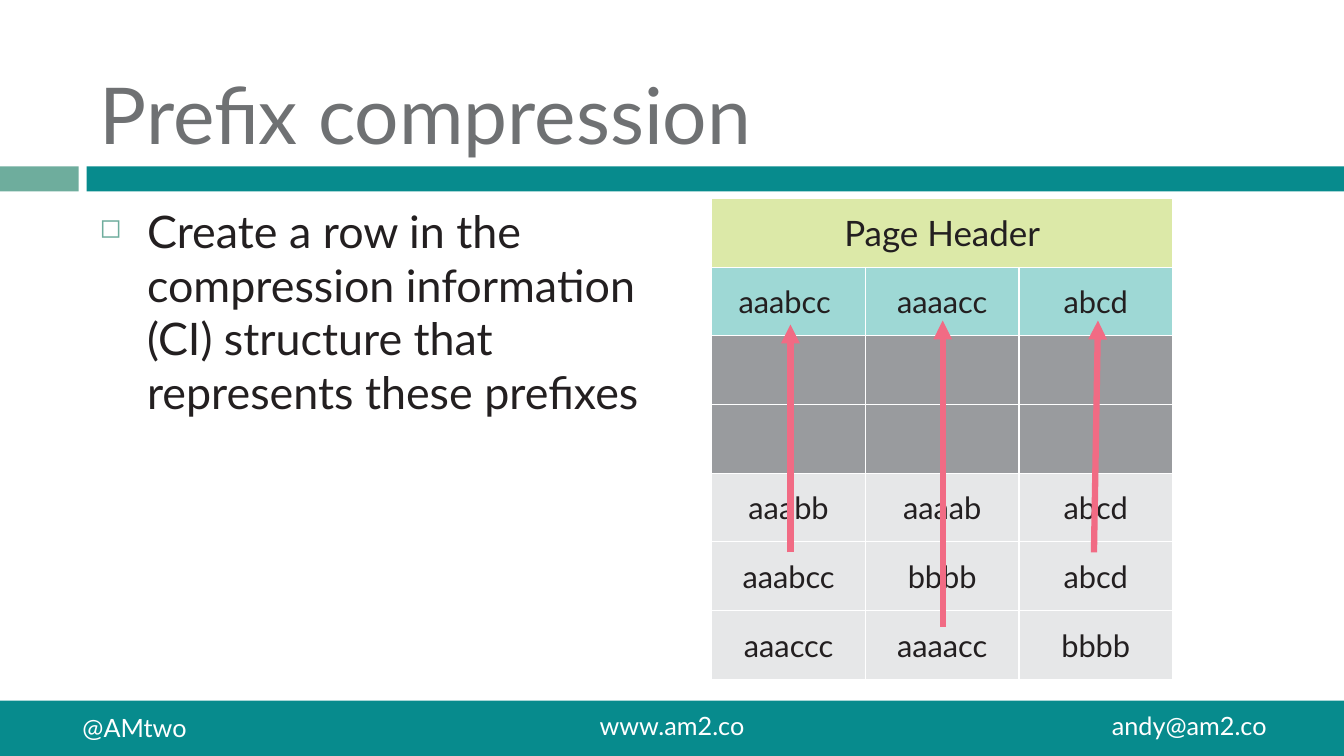
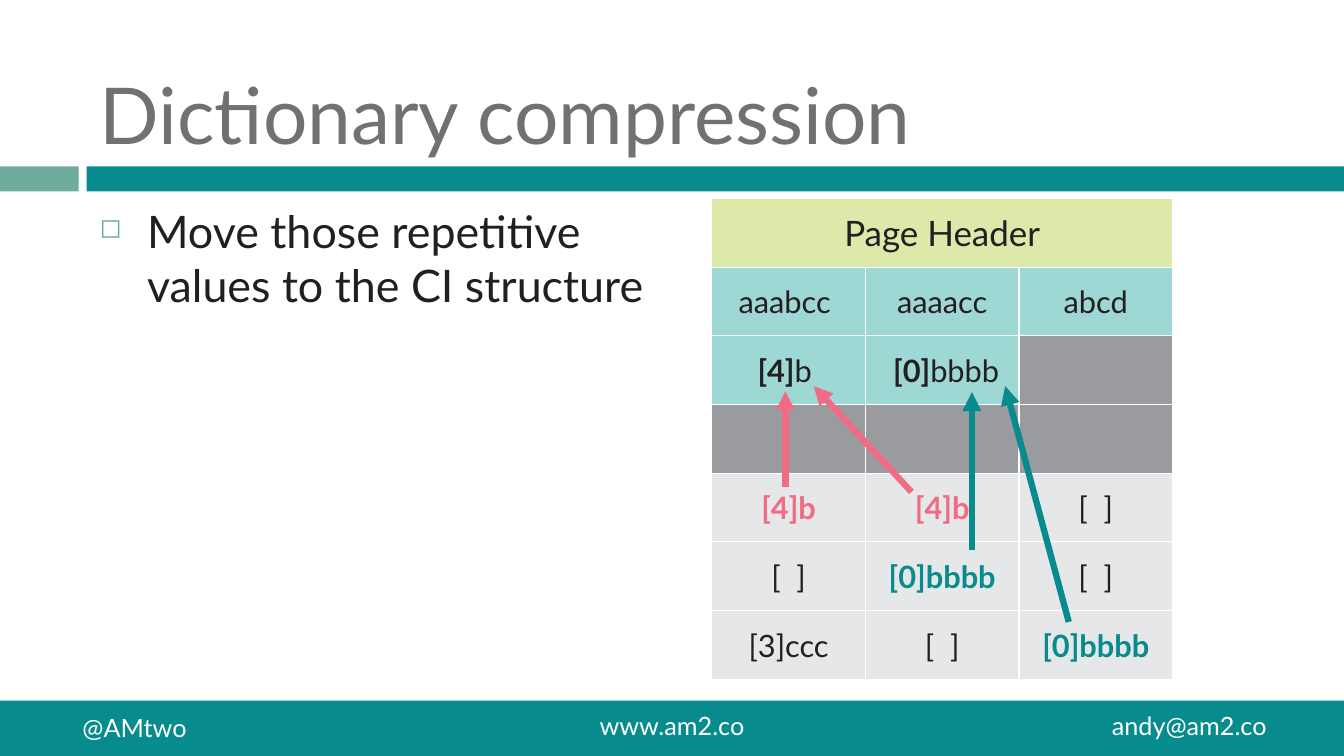
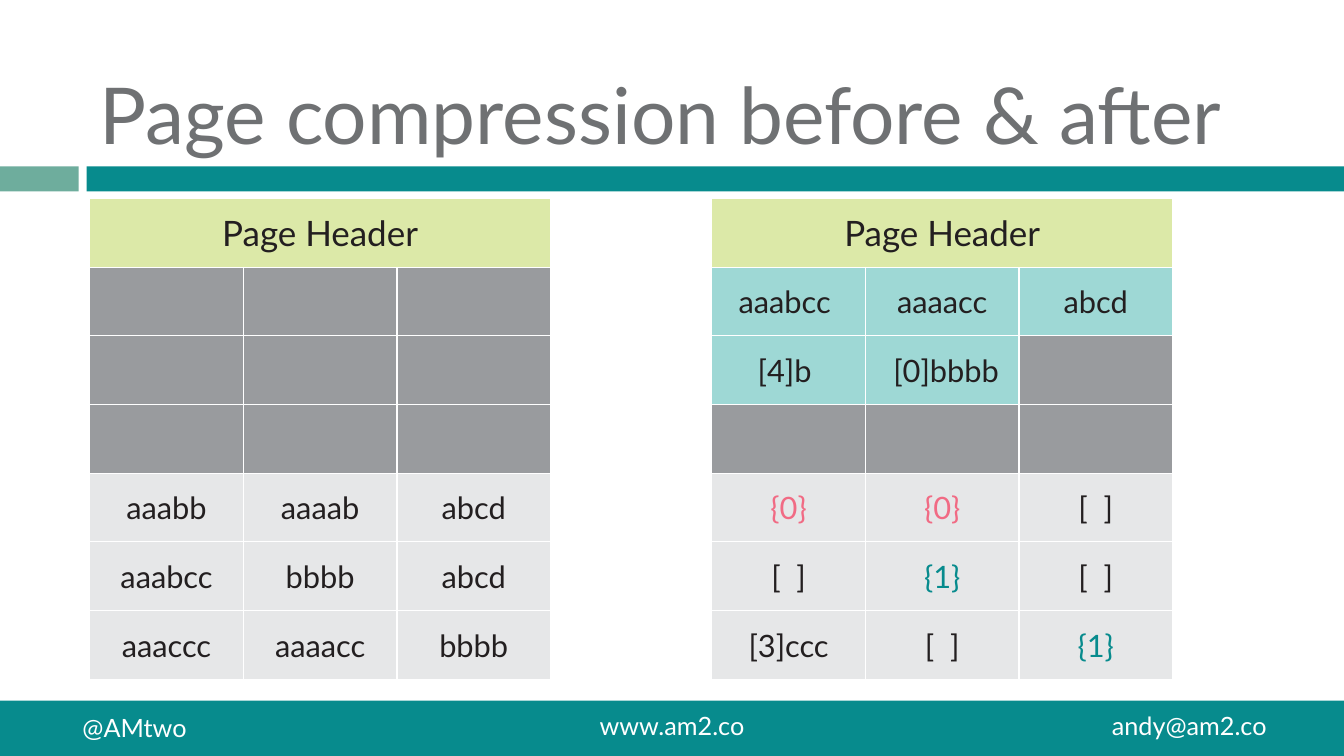
from pptx import Presentation
from pptx.dml.color import RGBColor
from pptx.enum.shapes import MSO_CONNECTOR as LINK, MSO_SHAPE as SHAPE
from pptx.enum.text import MSO_ANCHOR as ANCHOR, PP_ALIGN as ALIGN
from pptx.oxml import parse_xml
from pptx.oxml.ns import nsdecls
from pptx.util import Inches, Pt

FONT = "Lato"
WHITE = RGBColor(0xFF, 0xFF, 0xFF)
INK = RGBColor(0x23, 0x1F, 0x20)
GRAY = RGBColor(0x6F, 0x71, 0x73)
TEAL = RGBColor(0x07, 0x8B, 0x8D)
SAGE = RGBColor(0x6E, 0xAD, 0x9D)
PINK = RGBColor(0xF1, 0x6B, 0x84)
LIME = RGBColor(0xDC, 0xE9, 0xA8)
AQUA = RGBColor(0x9E, 0xD8, 0xD5)
SLATE = RGBColor(0x99, 0x9B, 0x9E)
PALE = RGBColor(0xE6, 0xE7, 0xE8)
NB = chr(160)  # no-break space

BANDS = [
    (0, 1.65, 0.78, 0.25, SAGE),
    (0.86, 1.65, 12.47, 0.25, TEAL),
    (0, 6.95, 13.33, 0.55, TEAL),
]
FOOTER = [
    ((0.72, 7.02, 1.3, 0.4), "@AMtwo", ALIGN.LEFT),
    ((5.74, 7, 1.85, 0.4), "www.am2.co", ALIGN.CENTER),
    ((10.93, 7, 1.85, 0.4), "andy@am2.co", ALIGN.LEFT),
]

# A cell is None, a text, or a list of (text, colour, bold) runs.
EMPTY = [None] * 3
PREFIX = ["aaabcc" + NB, "aaaacc", "abcd"]
DATA = [
    ["aaabb", "aaaab", "abcd"],
    ["aaabcc", "bbbb", "abcd"],
    ["aaaccc", "aaaacc", "bbbb"],
]
FOUR = [("[4]b", PINK, True)]
ZERO = [("[0]bbbb", TEAL, True)]
REF0 = [("{0}", PINK, False)]
REF1 = [("{1}", TEAL, False)]
BARE = "[  ]"
LEFT, RIGHT = 0.89, 7.06

PAGES = [
    {
        "title": "Prefix compression",
        "body": "Create a row in the compression information (CI) structure"
                " that represents these prefixes",
        "tables": [(RIGHT, [PREFIX, EMPTY, EMPTY] + DATA)],
        "arrows": [
            (7.84, 5.48, 7.84, 3.22, PINK),
            (9.35, 6.22, 9.35, 3.18, PINK),
            (10.85, 5.48, 10.89, 3.18, PINK),
        ],
    },
    {
        "title": "Dictionary compression",
        "body": "Move those repetitive values to the CI structure",
        "tables": [(RIGHT, [
            PREFIX,
            [[("[4]", INK, True), ("b" + NB, INK, False)],
             [(NB, INK, False), ("[0]", INK, True), ("bbbb", INK, False)],
             None],
            EMPTY,
            [FOUR, FOUR, BARE],
            [BARE, ZERO, BARE],
            ["[3]ccc", BARE, ZERO],
        ])],
        "arrows": [
            (7.79, 4.83, 7.79, 3.88, PINK),
            (9.04, 4.88, 8.07, 3.83, PINK),
            (9.64, 5.46, 9.64, 3.89, TEAL),
            (10.6, 6.17, 9.97, 3.83, TEAL),
        ],
    },
    {
        "title": "Page compression before & after",
        "body": None,
        "tables": [
            (RIGHT, [
                PREFIX,
                ["[4]b" + NB, NB + "[0]bbbb", None],
                EMPTY,
                [REF0, REF0, BARE],
                [BARE, REF1, BARE],
                ["[3]ccc", BARE, REF1],
            ]),
            (LEFT, [EMPTY] * 3 + DATA),
        ],
        "arrows": [],
    },
]


def add_run(par, text, size, color, bold=False):
    run = par.add_run()
    run.text = text
    font = run.font
    font.name, font.size, font.bold = FONT, Pt(size), bold
    font.color.rgb = color


def add_text(slide, box, text, size, color, align=ALIGN.LEFT, anchor=ANCHOR.TOP):
    """Add a wrapped one-paragraph text box and return the paragraph."""
    frame = slide.shapes.add_textbox(*map(Inches, box)).text_frame
    frame.word_wrap = True
    frame.vertical_anchor = anchor
    par = frame.paragraphs[0]
    par.alignment = align
    add_run(par, text, size, color)
    return par


deck = Presentation()
deck.slide_width, deck.slide_height = Inches(13.33), Inches(7.5)

for page in PAGES:
    slide = deck.slides.add_slide(deck.slide_layouts[6])
    shapes = slide.shapes

    for *box, color in BANDS:
        band = shapes.add_shape(SHAPE.RECTANGLE, *map(Inches, box))
        band.shadow.inherit = False
        band.fill.solid()
        band.fill.fore_color.rgb = color
        band.line.fill.background()
    for box, text, align in FOOTER:
        add_text(slide, box, text, 18, WHITE, align)
    add_text(slide, (LEFT, 0.17, 11.89, 1.47), page["title"], 56, GRAY,
             anchor=ANCHOR.BOTTOM)

    if page["body"]:
        par = add_text(slide, (LEFT, 1.97, 5.67, 4.77), page["body"], 32, INK)
        par.space_before = Pt(9.3)
        props = par._p.get_or_add_pPr()
        props.set("marL", str(Inches(0.47)))
        props.set("indent", str(Inches(-0.47)))
        for xml in (
            f'<a:buClr {nsdecls("a")}><a:srgbClr val="{SAGE}"/></a:buClr>',
            f'<a:buSzPct {nsdecls("a")} val="60000"/>',
            f'<a:buChar {nsdecls("a")} char="◻"/>',
        ):
            props.append(parse_xml(xml))

    for left, rows in page["tables"]:
        grid = [["Page Header", None, None]] + rows
        table = shapes.add_table(len(grid), 3, Inches(left), Inches(1.97),
                                 Inches(4.57), Inches(4.77)).table
        table.first_row = table.horz_banding = False
        table.cell(0, 0).merge(table.cell(0, 2))
        for r, row in enumerate(grid):
            for c, item in enumerate(row):
                cell = table.cell(r, c)
                props = cell._tc.get_or_add_tcPr()
                for side in "LRTB":
                    props.append(parse_xml(
                        f'<a:ln{side} {nsdecls("a")} w="{Pt(1)}"><a:solidFill>'
                        f'<a:srgbClr val="{WHITE}"/></a:solidFill></a:ln{side}>'))
                cell.fill.solid()
                if r == 0:
                    color = LIME
                elif item is None:
                    color = SLATE
                else:
                    color = AQUA if r < 4 else PALE
                cell.fill.fore_color.rgb = color
                if item is None:
                    continue
                cell.vertical_anchor = ANCHOR.MIDDLE
                cell.margin_left = cell.margin_right = Inches(0.01)
                cell.margin_top, cell.margin_bottom = Inches(0.01), 0
                par = cell.text_frame.paragraphs[0]
                par.alignment = ALIGN.CENTER
                runs = [(item, INK, False)] if isinstance(item, str) else item
                for text, color, bold in runs:
                    add_run(par, text, 22 if r else 25, color, bold)

    for *ends, color in page["arrows"]:
        arrow = shapes.add_connector(LINK.STRAIGHT, *map(Inches, ends))
        arrow.line.color.rgb = color
        arrow.line.width = Pt(4.5)
        arrow.line._get_or_add_ln().append(
            parse_xml(f'<a:tailEnd {nsdecls("a")} type="triangle"/>'))
        arrow._element.spPr.append(parse_xml(f'<a:effectLst {nsdecls("a")}/>'))

deck.save("out.pptx")
